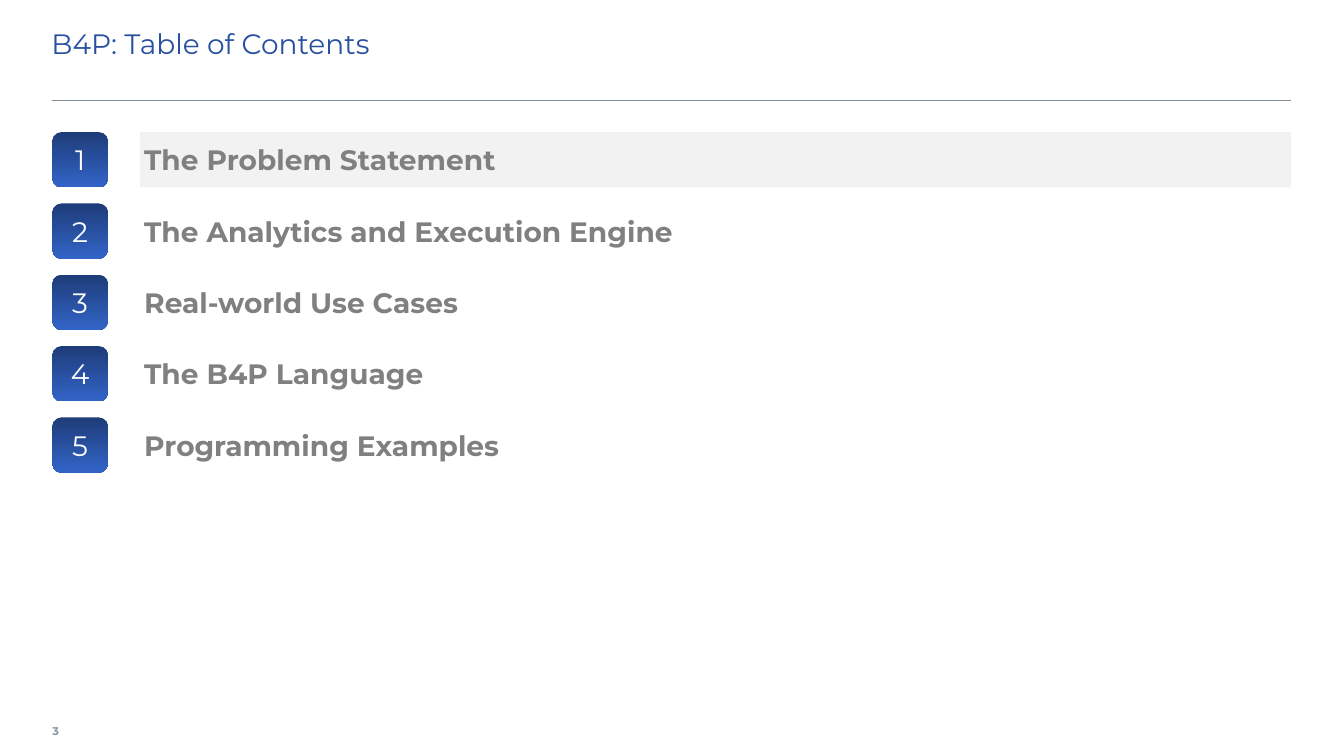
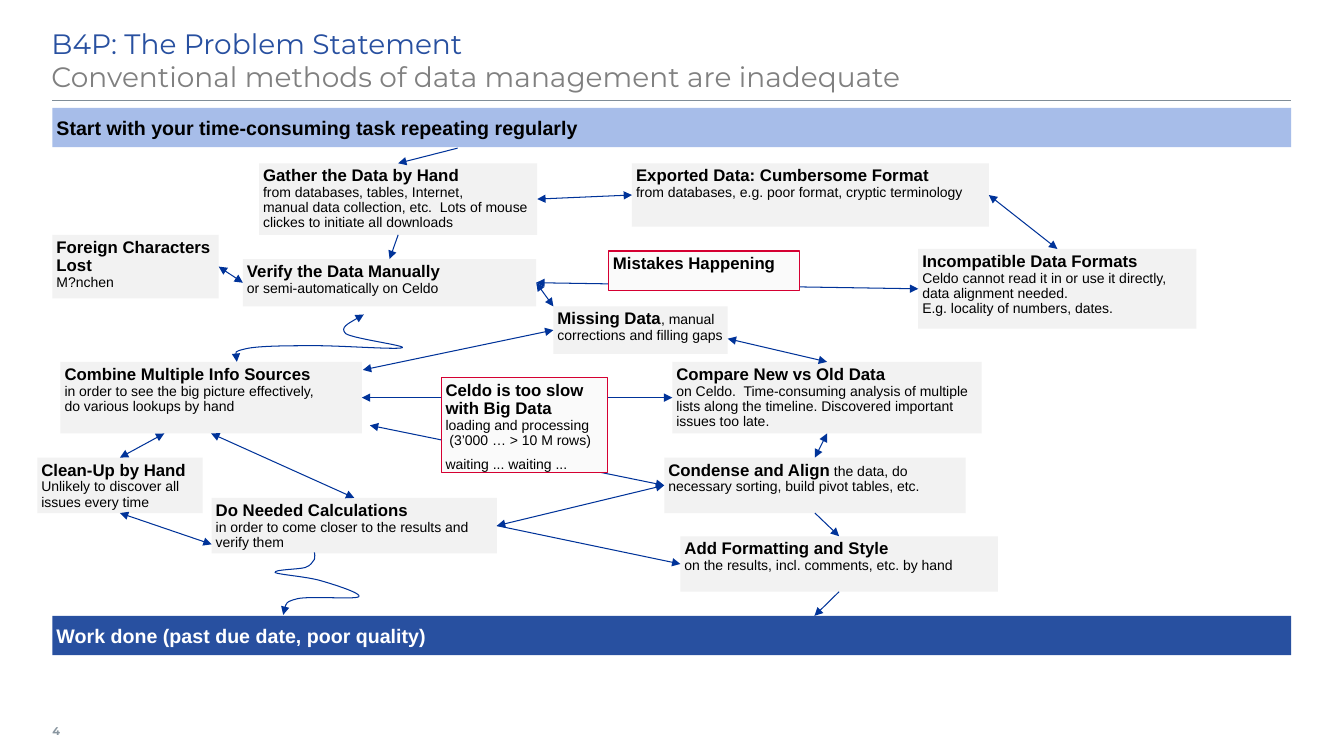
from lxml import etree
from pptx import Presentation
from pptx.dml.color import RGBColor
from pptx.enum.shapes import MSO_CONNECTOR, MSO_SHAPE
from pptx.enum.text import MSO_ANCHOR, MSO_AUTO_SIZE, PP_ALIGN
from pptx.oxml.ns import qn
from pptx.util import Inches, Pt

RECTANGLE, ROUNDED = MSO_SHAPE.RECTANGLE, MSO_SHAPE.ROUNDED_RECTANGLE
STRAIGHT = MSO_CONNECTOR.STRAIGHT
TOP_ANCHOR, MIDDLE = MSO_ANCHOR.TOP, MSO_ANCHOR.MIDDLE
LEFT_ALIGN, CENTER = PP_ALIGN.LEFT, PP_ALIGN.CENTER
NO_AUTOFIT = MSO_AUTO_SIZE.NONE

# Shared look
BLUE, GRAY, WHITE, BLACK = "2850A0", "808080", "FFFFFF", "000000"
PANEL, ALERT_FILL, ALERT_LINE = "F2F2F2", "FAFAFA", "D50032"
START_FILL, ARROW, RULE, PAGE_NUMBER = "A7BDE9", "003399", "808D97", "8996A0"
BADGE_GRADIENT = ("1E3C78", "3264C8")
SLIDE_HEIGHT = 7.5
SLIDE_WIDTH = SLIDE_HEIGHT * 16 / 9
LEFT, RIGHT = 0.52, 12.81
WIDTH = RIGHT - LEFT
INSETS = (0.04, 0.04, 0.04, 0.04)


def style(name, size, color, bold=False):
    return {"name": name, "size": Pt(size), "bold": bold, "color": color}


TITLE = style("Montserrat", 20, BLUE)
SUBTITLE = style("Montserrat", 20, GRAY)
PAGE = style("Montserrat", 8, PAGE_NUMBER, True)
CHAPTER = style("Montserrat", 20, GRAY, True)
BADGE = style("Montserrat", 20, WHITE)
HEADING = style("Arial", 12, BLACK, True)
DETAIL = style("Arial", 10, BLACK)
BAND_DARK_TEXT = style("Arial", 14, BLACK, True)
BAND_LIGHT_TEXT = style("Arial", 14, WHITE, True)

# Content: table of contents
CHAPTERS = ["The Problem Statement", "The Analytics and Execution Engine",
            "Real-world Use Cases", "The B4P Language", "Programming Examples"]
CURRENT_CHAPTER = 1
FIRST_TOP, LAST_TOP, BADGE_SIZE, CHAPTER_LEFT = 1.31, 4.14, 0.55, 1.39

# Content: problem statement; bands are (top, fill, text, text style)
BANDS = [
    (1.07, START_FILL, "Start with your time-consuming task repeating regularly", BAND_DARK_TEXT),
    (6.11, BLUE, "Work done (past due date, poor quality)", BAND_LIGHT_TEXT),
]

# Steps: name -> (left, top, width, height), heading, detail
STEPS = {
    "gather": ((2.57, 1.62, 2.76, 0.71), "Gather the Data by Hand\n",
               "from databases, tables, Internet, \nmanual data collection, etc.  "
               "Lots of mouse clickes to initiate all downloads"),
    "verify": ((2.41, 2.57, 2.91, 0.47), "Verify the Data Manually\n",
               "or semi-automatically on Celdo"),
    "condense": ((6.59, 4.54, 2.99, 0.55), "Condense and Align",
                 " the data, do necessary sorting, build pivot tables, etc."),
    "export": ((6.27, 1.62, 3.54, 0.63), "Exported Data: Cumbersome Format\n",
               "from databases, e.g. poor format, cryptic terminology"),
    "format": ((6.75, 5.32, 3.15, 0.55), "Add Formatting and Style",
               " \non the results, incl. comments, etc. by hand"),
    "compare": ((6.67, 3.59, 3.07, 0.71), "Compare New vs Old Data\n",
                "on Celdo.  Time-consuming analysis of multiple lists along the timeline. "
                "Discovered important issues too late."),
    "foreign": ((0.52, 2.33, 1.65, 0.63), "Foreign Characters\nLost\n", "M?nchen"),
    "incompatible": ((9.11, 2.47, 2.76, 0.79), "Incompatible Data Formats\n",
                     "Celdo cannot read it in or use it directly, data alignment needed. \n"
                     "E.g. locality of numbers, dates."),
    "combine": ((0.6, 3.59, 2.99, 0.71), "Combine Multiple Info Sources\n",
                "in order to see the big picture effectively, \ndo various lookups by hand"),
    "missing": ((5.49, 3.04, 1.73, 0.47), "Missing Data",
                ", manual corrections and filling gaps"),
    "calculate": ((2.1, 4.94, 2.83, 0.55), "Do Needed Calculations",
                  " \nin order to come closer to the results and verify them"),
    "clean": ((0.37, 4.54, 1.64, 0.55), "Clean-Up by Hand\n",
              "Unlikely to discover all\nissues every time"),
}
ALERTS = [
    ((4.38, 3.75, 1.65, 0.94),
     [[("Celdo is too slow with Big Data", HEADING),
       (" \nloading and processing\n (3’000 … > 10 M rows)", DETAIL)],
      [("waiting ... waiting ...", DETAIL)]]),
    ((6.04, 2.49, 1.89, 0.39), [[("Mistakes Happening", HEADING)]]),
]

# Arrow ends: (step, side) is glued to that step, (x, y) is a free point
SIDES = {"top": 0, "left": 1, "bottom": 2, "right": 3}
ONE_WAY = [
    ((4.54, 1.47), ("gather", "top")),
    (("gather", "bottom"), ("verify", "top")),
    (("calculate", "right"), ("format", "left")),
    (("condense", "bottom"), ("format", "top")),
    (("format", "bottom"), (8.08, 6.11)),
]
TWO_WAY = [
    (("gather", "right"), ("export", "left")),
    (("export", "right"), ("incompatible", "top")),
    (("verify", "right"), ("incompatible", "left")),
    (("combine", "right"), ("compare", "left")),
    (("verify", "right"), (5.49, 3.04)),
    (("verify", "left"), ("foreign", "right")),
    (("calculate", "right"), ("condense", "left")),
    (("compare", "bottom"), ("condense", "top")),
    (("combine", "bottom"), ("calculate", "top")),
    ((3.67, 4.22), ("condense", "left")),
    ((3.6, 3.67), ("missing", "left")),
    ((7.22, 3.36), ("compare", "top")),
    ((1.63, 4.3), ("clean", "top")),
    ((2.1, 5.4), ("clean", "bottom")),
]

# Curved arrows: start point, then two control points and an end per segment
CURVE_TO_END = [
    (3.12, 5.48), (3.12, 5.5), (3.13, 5.52), (3.12, 5.55), (3.1, 5.57), (3.09, 5.61),
    (3.03, 5.63), (2.96, 5.65), (2.71, 5.65), (2.73, 5.68), (2.76, 5.7), (3.04, 5.72),
    (3.18, 5.76), (3.32, 5.8), (3.6, 5.89), (3.56, 5.92), (3.52, 5.95), (3.08, 5.91),
    (2.95, 5.94), (2.83, 5.97), (2.82, 6.03), (2.81, 6.1)]
CURVE_TO_COMBINE = [
    (3.61, 3.12), (3.49, 3.19), (3.37, 3.25), (3.43, 3.31), (3.5, 3.36), (4.04, 3.43),
    (3.99, 3.45), (3.94, 3.47), (3.4, 3.43), (3.14, 3.43), (2.88, 3.43), (2.57, 3.43),
    (2.44, 3.46), (2.31, 3.49), (2.33, 3.54), (2.35, 3.59)]


def rgb(color):
    return RGBColor.from_string(color)


def format_font(font, text_style):
    for attribute, value in text_style.items():
        if attribute == "color":
            font.color.rgb = rgb(value)
        else:
            setattr(font, attribute, value)


def add_text(paragraph, text, text_style):
    """Add text in one style; each newline becomes a line break."""
    for index, line in enumerate(text.split("\n")):
        if index:
            paragraph.add_line_break()
            properties = etree.SubElement(paragraph._p[-1], qn("a:rPr"))
            properties.set("sz", str(int(text_style["size"].pt * 100)))
        if line:
            run = paragraph.add_run()
            run.text = line
            format_font(run.font, text_style)


def fill_frame(shape, paragraphs, anchor=TOP_ANCHOR, align=LEFT_ALIGN, insets=INSETS, spacing=None):
    frame = shape.text_frame
    sides = ("margin_left", "margin_top", "margin_right", "margin_bottom")
    settings = {"word_wrap": True, "auto_size": NO_AUTOFIT, "vertical_anchor": anchor}
    settings.update(zip(sides, map(Inches, insets)))
    for attribute, value in settings.items():
        setattr(frame, attribute, value)
    for index, runs in enumerate(paragraphs):
        paragraph = frame.add_paragraph() if index else frame.paragraphs[0]
        paragraph.alignment = align
        if spacing:
            paragraph.line_spacing = spacing
            paragraph.space_before = Pt(3 if index else 0)
            paragraph.space_after = Pt(3)
        for text, text_style in runs:
            add_text(paragraph, text, text_style)


def add_box(slide, at, paragraphs, fill=None, line=None, kind=RECTANGLE, **text_format):
    """Add a filled shape, or a plain text box where there is no fill."""
    place = [Inches(value) for value in at]
    if fill is None:
        shape = slide.shapes.add_textbox(*place)
    else:
        shape = slide.shapes.add_shape(kind, *place)
        shape.shadow.inherit = False
        if isinstance(fill, tuple):
            shape.fill.gradient()
            shape.fill.gradient_angle = 270
            for position, (stop, color) in enumerate(zip(shape.fill.gradient_stops, fill)):
                stop.position = position
                stop.color.rgb = rgb(color)
        else:
            shape.fill.solid()
            shape.fill.fore_color.rgb = rgb(fill)
        if line:
            format_line(shape, line, 0.75)
        else:
            shape.line.fill.background()
    fill_frame(shape, paragraphs, **text_format)
    return shape


def format_line(shape, color, width, heads=()):
    shape.line.color.rgb = rgb(color)
    shape.line.width = Pt(width)
    for head in heads:
        etree.SubElement(shape.line._get_or_add_ln(), qn(head)).set("type", "triangle")


def add_line(slide, start, end, color, width, heads=(), steps=None):
    def point(place):
        return (0, 0) if isinstance(place[0], str) else [Inches(value) for value in place]

    connector = slide.shapes.add_connector(STRAIGHT, *point(start), *point(end))
    for place, connect in ((start, connector.begin_connect), (end, connector.end_connect)):
        if isinstance(place[0], str):
            connect(steps[place[0]], SIDES[place[1]])
    format_line(connector, color, width, heads)
    etree.SubElement(connector._element.spPr, qn("a:effectLst"))


def add_curve(slide, controls, heads):
    """Draw a freeform through the segment ends, then bend each segment."""
    points = [(Inches(x), Inches(y)) for x, y in controls]
    builder = slide.shapes.build_freeform(*points[0])
    builder.add_line_segments(points[3::3], close=False)
    curve = builder.convert_to_shape()
    segments = list(curve._element.iter(qn("a:lnTo")))
    for index, segment in enumerate(segments):
        bend = etree.Element(qn("a:cubicBezTo"))
        for x, y in points[3 * index + 1:3 * index + 4]:
            control = etree.SubElement(bend, qn("a:pt"))
            control.set("x", str(x - curve.left))
            control.set("y", str(y - curve.top))
        segment.getparent().replace(segment, bend)
    curve.fill.background()
    format_line(curve, ARROW, 0.75, heads)
    curve.shadow.inherit = False


def add_slide(presentation, number, title_runs):
    """Start a slide with its title, rule and page number."""
    slide = presentation.slides.add_slide(presentation.slide_layouts[5])
    title = slide.shapes.title
    place = {"left": 0.51, "top": 0.21, "width": 12.28, "height": 0.79}
    for attribute, value in place.items():
        setattr(title, attribute, Inches(value))
    fill_frame(title, [title_runs], insets=(0, 0.05, 0.1, 0.05))
    add_line(slide, (LEFT, 1), (RIGHT, 1), RULE, 1)
    add_box(slide, (LEFT, 7.06, 0.47, 0.39), [[(str(number), PAGE)]],
            anchor=MIDDLE, insets=(0, 0.05, 0.08, 0.05))
    return slide


def build_contents(presentation):
    slide = add_slide(presentation, 3, [("B4P: Table of Contents", TITLE)])
    pitch = (LAST_TOP - FIRST_TOP) / (len(CHAPTERS) - 1)
    for number, chapter in enumerate(CHAPTERS, 1):
        top = FIRST_TOP + (number - 1) * pitch
        add_box(slide, (CHAPTER_LEFT, top, RIGHT - CHAPTER_LEFT, BADGE_SIZE), [[(chapter, CHAPTER)]],
                fill=PANEL if number == CURRENT_CHAPTER else None, anchor=MIDDLE)
        add_box(slide, (LEFT, top, BADGE_SIZE, BADGE_SIZE), [[(str(number), BADGE)]],
                fill=BADGE_GRADIENT, kind=ROUNDED, anchor=MIDDLE, align=CENTER)


def build_problem(presentation):
    slide = add_slide(presentation, 4, [
        ("B4P: The Problem Statement\n", TITLE),
        ("Conventional methods of data management are inadequate", SUBTITLE)])
    for top, fill, text, text_style in BANDS:
        add_box(slide, (LEFT, top, WIDTH, 0.39), [[(text, text_style)]], fill=fill, anchor=MIDDLE)
    steps = {name: add_box(slide, at, [[(heading, HEADING), (detail, DETAIL)]], fill=PANEL, spacing=0.9)
             for name, (at, heading, detail) in STEPS.items()}
    # Arrows lie above the steps and below the alerts
    end_head, both_heads = ("a:tailEnd",), ("a:headEnd", "a:tailEnd")
    for arrows, heads in ((ONE_WAY, end_head), (TWO_WAY, both_heads)):
        for start, end in arrows:
            add_line(slide, start, end, ARROW, 0.75, heads, steps)
    add_curve(slide, CURVE_TO_END, end_head)
    add_curve(slide, CURVE_TO_COMBINE, both_heads)
    for at, paragraphs in ALERTS:
        add_box(slide, at, paragraphs, fill=ALERT_FILL, line=ALERT_LINE, spacing=0.9)


def main():
    presentation = Presentation()
    presentation.slide_width, presentation.slide_height = Inches(SLIDE_WIDTH), Inches(SLIDE_HEIGHT)
    build_contents(presentation)
    build_problem(presentation)
    presentation.save("out.pptx")


if __name__ == "__main__":
    main()
